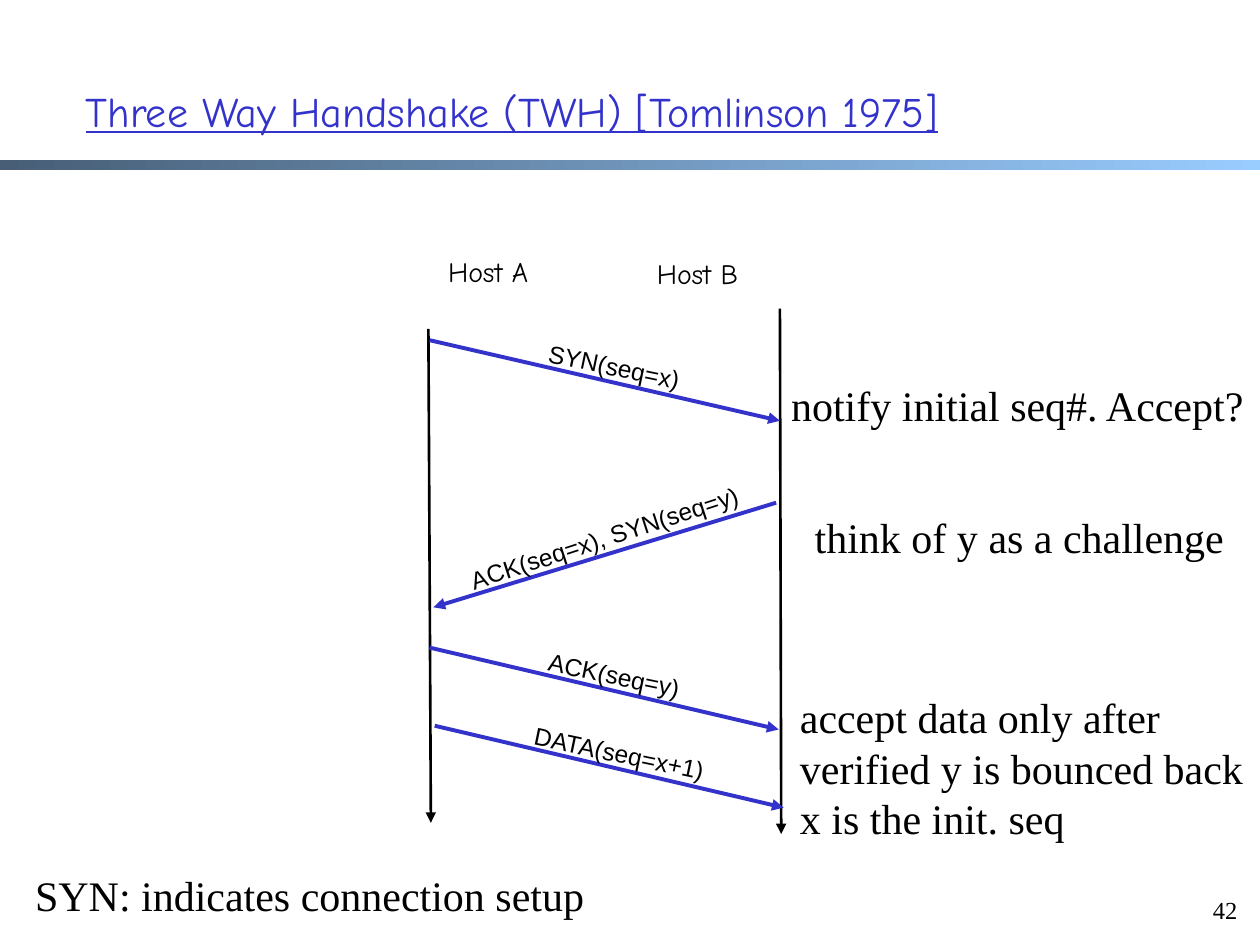
from lxml import etree
from pptx import Presentation
from pptx import util as u
from pptx.dml.color import RGBColor
from pptx.enum import shapes, text
from pptx.oxml.ns import qn

COLORS = {"ink": "000000", "accent": "3333CC",
          "bar_dark": "475E76", "bar_light": "99CCFF"}
HAND, SANS, SERIF = "Comic Neue", "Arial", "Times New Roman"
LEFT, CENTER, RIGHT = (text.PP_ALIGN.LEFT, text.PP_ALIGN.CENTER,
                       text.PP_ALIGN.RIGHT)

# Messages: arrow start, arrow end, label, label box, label rotation
MESSAGES = [
    ((3.41, 2.7), (6.19, 3.34), "SYN(seq=x)", (4.2, 2.74, 1.35, 0.33), 11.8),
    ((6.16, 3.99), (3.44, 4.82), "ACK(seq=x), SYN(seq=y)",
     (3.3, 4.1, 2.99, 0.33), -18),
    ((3.41, 5.14), (6.18, 5.79), "ACK(seq=y)", (4.2, 5.19, 1.35, 0.33), 11.8),
    ((3.45, 5.76), (6.22, 6.41), "DATA(seq=x+1)",
     (4.07, 5.81, 1.69, 0.33), 11.8),
]

# Hosts: name, name box, timeline start, timeline end
HOSTS = [
    ("Host A", (3.41, 1.97, 0.93, 0.37), (3.4, 2.61), (3.42, 6.53)),
    ("Host B", (5.08, 1.99, 0.91, 0.37), (6.19, 2.45), (6.2, 6.62)),
]

# Notes: wording, box, alignment
NOTES = [
    ("notify initial seq#. Accept?", (6.18, 2.96, 3.82, 0.51), LEFT),
    ("think of y as a challenge", (6.18, 4.01, 3.82, 0.51), CENTER),
    ("accept data only after\nverified y is bounced back\nx is the init. seq",
     (6.25, 5.44, 3.75, 1.31), LEFT),
    ("SYN: indicates connection setup", (0.18, 6.85, 4.56, 0.5), LEFT),
]


def rgb(name):
    return RGBColor.from_string(COLORS[name])


def inches(values):
    return [u.Inches(v) for v in values]


def style(tf, font, size, color="ink", align=LEFT, underline=None):
    for p in tf.paragraphs:
        p.alignment = align
        for r in p.runs:
            r.font.name, r.font.size = font, u.Pt(size)
            r.font.color.rgb = rgb(color)
            r.font.underline = underline


def add_label(s, words, box, font, size, align=CENTER, rotation=0):
    sp = s.shapes.add_textbox(*inches(box))
    sp.rotation = rotation
    tf = sp.text_frame
    tf.text = words
    tf.word_wrap = False
    style(tf, font, size, align=align)


def add_arrow(s, start, end, color, width):
    line = s.shapes.add_connector(shapes.MSO_CONNECTOR.STRAIGHT,
                                  *inches(start + end))
    line.line.color.rgb = rgb(color)
    line.line.width = u.Pt(width)
    etree.SubElement(line.line._get_or_add_ln(), qn("a:tailEnd"),
                     type="triangle")
    etree.SubElement(line._element.spPr, qn("a:effectLst"))


def add_bar(s, box):
    bar = s.shapes.add_shape(shapes.MSO_SHAPE.RECTANGLE, *inches(box))
    bar.shadow.inherit = False
    bar.line.fill.background()
    bar.fill.gradient()
    bar.fill.gradient_angle = 0
    for stop, name in zip(bar.fill.gradient_stops, ("bar_dark", "bar_light")):
        stop.color.rgb = rgb(name)


def set_title(s, words, box):
    title = s.shapes.title
    title.left, title.top, title.width, title.height = inches(box)
    tf = title.text_frame
    tf.text = words
    tf.auto_size = text.MSO_AUTO_SIZE.NONE
    tf.vertical_anchor = text.MSO_ANCHOR.MIDDLE
    style(tf, HAND, 24, "accent", underline=True)


def main():
    prs = Presentation()
    prs.slide_width, prs.slide_height = inches((10, 7.5))
    s = prs.slides.add_slide(prs.slide_layouts[5])

    # Heading and slide number
    add_bar(s, (0, 1.27, 10, 0.08))
    set_title(s, "Three Way Handshake (TWH) [Tomlinson 1975]",
              (0.58, 0.25, 8.77, 1.25))
    add_label(s, "42", (9.46, 7.05, 0.46, 0.38), SERIF, 14, RIGHT)

    # Host timelines
    for name, box, start, end in HOSTS:
        add_label(s, name, box, HAND, 16)
        add_arrow(s, start, end, "ink", 1.5)

    # Messages between the hosts
    for start, end, words, box, rotation in MESSAGES:
        add_arrow(s, start, end, "accent", 2.25)
        add_label(s, words, box, SANS, 14, rotation=rotation)

    # Remarks
    for words, box, align in NOTES:
        add_label(s, words, box, SERIF, 24, align)

    prs.save("out.pptx")


if __name__ == "__main__":
    main()
